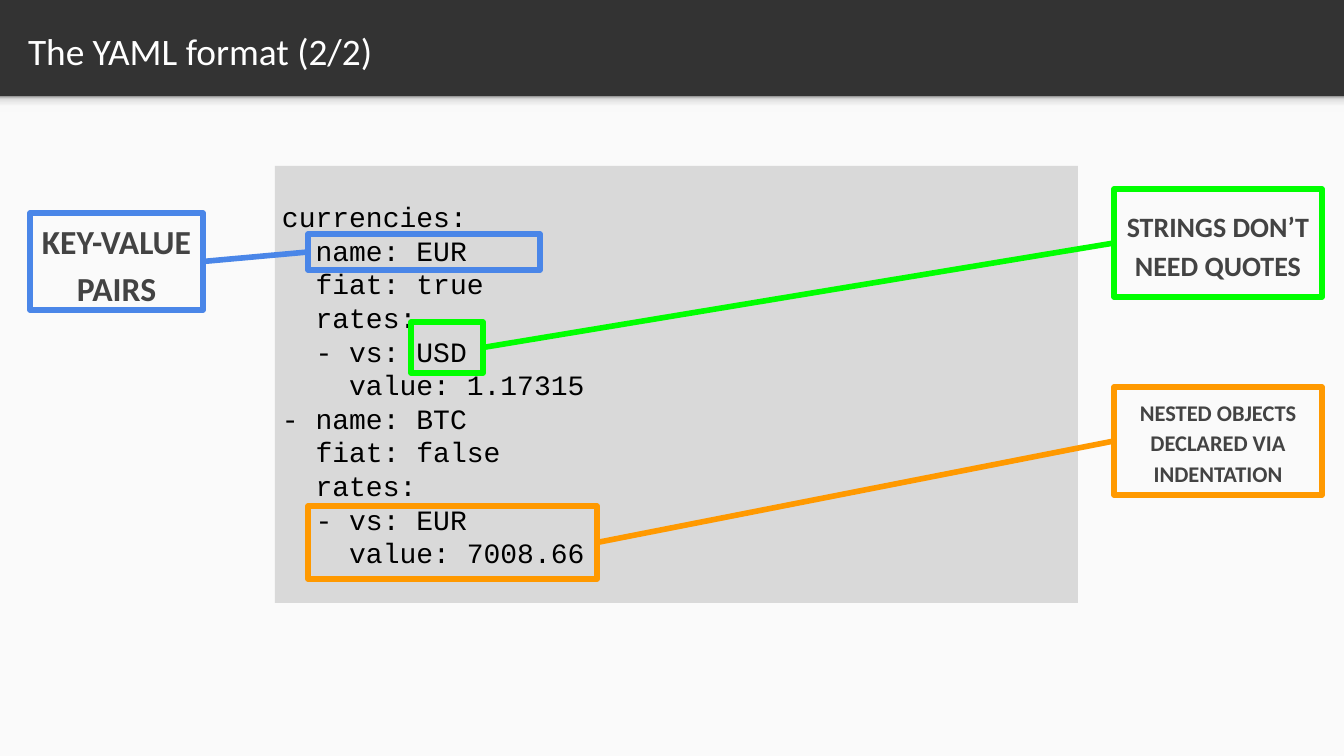
"""Build the slide "The YAML format (2/2)" with its annotated code listing."""
from lxml import etree
from pptx import Presentation
from pptx.dml.color import RGBColor
from pptx.enum.shapes import MSO_CONNECTOR as CONNECTOR, MSO_SHAPE as SHAPE
from pptx.enum.text import MSO_ANCHOR as ANCHOR, PP_ALIGN as ALIGN
from pptx.oxml.ns import qn
from pptx.util import Pt

PX = 13600
WIDTH, HEIGHT, HEADER = 1344, 756, 97
DARK = RGBColor(0x33, 0x33, 0x33)
PAPER = RGBColor(0xFA, 0xFA, 0xFA)
CODE_FILL = RGBColor(0xD9, 0xD9, 0xD9)
WHITE = RGBColor(0xFF, 0xFF, 0xFF)
BLACK = RGBColor(0x00, 0x00, 0x00)
LABEL_TEXT = RGBColor(0x43, 0x43, 0x43)
BLUE = RGBColor(0x4A, 0x86, 0xE8)
GREEN = RGBColor(0x00, 0xFF, 0x00)
ORANGE = RGBColor(0xFF, 0x99, 0x00)
SHADOW_STOPS = [(0, "F9F9F9"), (36, "F9F9F9"), (80, "DEDEDE"), (100, "999999")]

CODE = """currencies:
- name: EUR
  fiat: true
  rates:
  - vs: USD
    value: 1.17315
- name: BTC
  fiat: false
  rates:
  - vs: EUR
    value: 7008.66"""

LEFT_SIDE, RIGHT_SIDE = 1, 3
CALLOUTS = [
    ("KEY-VALUE PAIRS", 36, BLUE, (30, 213, 173, 97), RIGHT_SIDE,
     (308, 234, 232, 36), LEFT_SIDE),
    ("STRINGS DON’T NEED QUOTES", 30, GREEN, (1114, 189, 208, 108), LEFT_SIDE,
     (411, 322, 72, 51), RIGHT_SIDE),
    ("NESTED OBJECTS DECLARED VIA INDENTATION", 24, ORANGE, (1114, 387, 208, 108), LEFT_SIDE,
     (308, 506, 289, 73), RIGHT_SIDE),
]


def add_box(slide, bounds, fill=None, line=None):
    shape = slide.shapes.add_shape(SHAPE.RECTANGLE, *(value * PX for value in bounds))
    shape.shadow.inherit = False
    if fill is None:
        shape.fill.background()
    else:
        shape.fill.solid()
        shape.fill.fore_color.rgb = fill
    if line is None:
        shape.line.fill.background()
    else:
        shape.line.color.rgb = line
        shape.line.width = Pt(6)
    return shape


def write_text(shape, text, font_name, size, color, inset, align=ALIGN.LEFT, bold=False):
    frame = shape.text_frame
    frame.text = text
    frame.word_wrap = True
    frame.vertical_anchor = ANCHOR.MIDDLE
    frame.margin_left = frame.margin_right = inset * PX
    frame.margin_top = frame.margin_bottom = inset * PX
    for paragraph in frame.paragraphs:
        paragraph.alignment = align
        font = paragraph.runs[0].font
        font.name, font.size, font.bold = font_name, Pt(size), bold
        font.color.rgb = color


presentation = Presentation()
presentation.slide_width = WIDTH * PX
presentation.slide_height = HEIGHT * PX
slide = presentation.slides.add_slide(presentation.slide_layouts[5])
slide.background.fill.solid()
slide.background.fill.fore_color.rgb = DARK

title = slide.shapes.title
title.left, title.top, title.width, title.height = (value * PX for value in (15, 3, 1297, 89))
write_text(title, "The YAML format (2/2)", "Calibri", 40, WHITE, 13)
title.text_frame.paragraphs[0].line_spacing = 1.15

add_box(slide, (0, HEADER, WIDTH, HEIGHT - HEADER), PAPER)
header_shadow = add_box(slide, (0, HEADER - 1, WIDTH, 16))
header_shadow.fill.gradient()
header_shadow.fill.gradient_angle = 90
stop_list = header_shadow._element.spPr.find(".//" + qn("a:gsLst"))
for stop in list(stop_list):
    stop_list.remove(stop)
for percent, color in SHADOW_STOPS:
    stop = etree.SubElement(stop_list, qn("a:gs"), pos=str(percent * 1000))
    etree.SubElement(stop, qn("a:srgbClr"), val=color)

code_panel = add_box(slide, (275, 166, 803, 437), CODE_FILL)
write_text(code_panel, CODE, "Courier New", 30, BLACK, 7)

for text, size, color, label_bounds, label_side, target_bounds, target_side in CALLOUTS:
    label = add_box(slide, label_bounds, line=color)
    write_text(label, text, "Calibri", size, LABEL_TEXT, 7, ALIGN.CENTER, True)
    paragraph = label.text_frame.paragraphs[0]
    paragraph.line_spacing = 1.15
    paragraph.space_before = Pt(16)
    target = add_box(slide, target_bounds, line=color)
    connector = slide.shapes.add_connector(CONNECTOR.STRAIGHT, 0, 0, 0, 0)
    connector.begin_connect(target, target_side)
    connector.end_connect(label, label_side)
    connector.line.color.rgb = color
    connector.line.width = Pt(6)
    etree.SubElement(connector._element.spPr, qn("a:effectLst"))

presentation.save("out.pptx")
